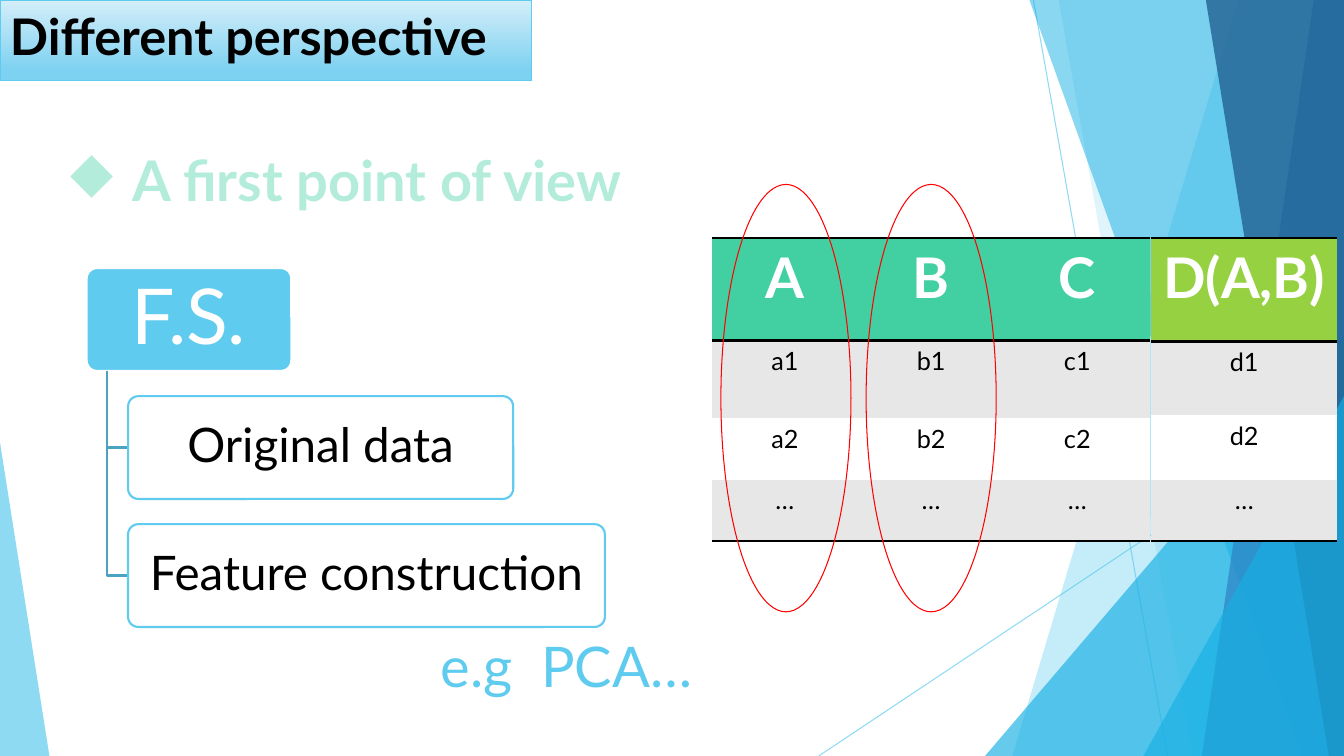
import pptx
import pptx.dml.color
import pptx.enum.shapes
import pptx.enum.text
import pptx.oxml
import pptx.oxml.ns
import pptx.util

Inches = pptx.util.Inches
Pt = pptx.util.Pt
qn = pptx.oxml.ns.qn
SHAPE = pptx.enum.shapes.MSO_SHAPE
ANCHOR = pptx.enum.text.MSO_ANCHOR
ALIGN = pptx.enum.text.PP_ALIGN

SKY, AZURE, BLUE, NAVY = "5FCBEF", "17B0E4", "2E83C3", "226292"
GREEN, LIME, MINT, GREY = "42D0A2", "96D141", "B3ECDA", "E7E7E7"
BLACK, WHITE, RED, ELBOW = "000000", "FFFFFF", "FF0000", "4CA3BF"
NO_GRID = "{2D5ABB26-0587-4C30-8999-92F81FD0307C}"


def paint(fill, color, opacity=100):
    """Make a fill solid in a hex colour with an opacity in percent."""
    fill.solid()
    fill.fore_color.rgb = pptx.dml.color.RGBColor.from_string(color)
    if opacity < 100:
        tone = fill._xPr.find(qn("a:solidFill"))[0]
        tone.append(tone.makeelement(qn("a:alpha"), {"val": str(opacity * 1000)}))


def style(shape, fill=None, opacity=100, line=None, width=1):
    """Set the fill and outline of a shape and take away its shadow."""
    shape.shadow.inherit = False
    if fill:
        paint(shape.fill, fill, opacity)
    else:
        shape.fill.background()
    if line:
        paint(shape.line.fill, line)
        shape.line.width = Pt(width)
    else:
        shape.line.fill.background()


def write(frame, text, size, color=BLACK, bold=False, align=ALIGN.CENTER,
          anchor=ANCHOR.TOP, spacing=None):
    """Put one formatted paragraph in a text frame and return it."""
    frame.word_wrap = True
    frame.vertical_anchor = anchor
    paragraph = frame.paragraphs[0]
    paragraph.alignment = align
    paragraph.line_spacing = spacing
    run = paragraph.add_run()
    run.text = text
    run.font.name = "Lato"
    run.font.size = Pt(size)
    run.font.bold = bold
    paint(run.font.fill, color)
    return paragraph


def add_block(slide, kind, box, **look):
    """Add a preset shape at left, top, width, height in inches."""
    block = slide.shapes.add_shape(kind, *map(Inches, box))
    style(block, **look)
    return block


def add_outline(slide, points, close=True, **look):
    """Add a freeform through points given in inches."""
    corners = [(Inches(x), Inches(y)) for x, y in points]
    builder = slide.shapes.build_freeform(*corners[0])
    builder.add_line_segments(corners[1:], close=close)
    style(builder.convert_to_shape(), **look)


def add_ray(slide, start, end):
    """Add a thin translucent line of the backdrop."""
    ray = slide.shapes.add_connector(
        pptx.enum.shapes.MSO_CONNECTOR.STRAIGHT, *map(Inches, start + end))
    paint(ray.line.fill, SKY, 70)
    ray.line.width = Pt(0.75)
    ray._element.spPr.append(pptx.oxml.parse_xml(
        f"<a:effectLst {pptx.oxml.ns.nsdecls('a')}/>"))


def add_label(slide, box, text, size, **look):
    """Add a text box and return its paragraph."""
    label = slide.shapes.add_textbox(*map(Inches, box))
    return write(label.text_frame, text, size, **look)


def add_facet(slide, box, tip, color, opacity):
    """Add a triangle of the backdrop with its tip at 0 (left) to 1 (right)."""
    facet = add_block(slide, SHAPE.ISOSCELES_TRIANGLE, box, fill=color, opacity=opacity)
    facet.adjustments[0] = tip


def add_backdrop(slide):
    """Draw the overlapping blue facets at both sides."""
    add_ray(slide, (10.25, 0), (11.58, 7.5))
    add_ray(slide, (13.33, 4.03), (8.12, 7.5))

    def add_band(top, bottom, color, opacity):
        """Add a band from a slanted left edge to the right of the slide."""
        add_outline(slide, [(top, 0), (13.33, 0), (13.33, 7.5), (bottom, 7.5)],
                    fill=color, opacity=opacity)

    add_band(12.28, 10.04, SKY, 36)
    add_band(10.5, 11.83, SKY, 20)
    add_facet(slide, (9.77, 3.33, 3.56, 4.17), 1, AZURE, 66)
    add_band(10.21, 12.91, AZURE, 50)
    add_band(13.03, 11.92, BLUE, 70)
    add_band(11.96, 13.18, NAVY, 80)
    add_facet(slide, (11.34, 3.93, 1.99, 3.57), 1, AZURE, 66)
    add_facet(slide, (0, 4.39, 0.49, 3.11), 0, SKY, 70)


def add_title(slide):
    """Draw the title on its gradient bar."""
    bar = add_block(slide, SHAPE.RECTANGLE, (0, 0, 5.27, 0.8), line=SKY)
    bar.fill.gradient()
    bar.fill.gradient_angle = 270
    for stop, color, position in zip(bar.fill.gradient_stops, ("D4EEF9", "7DD1F1"), (0, 0.88)):
        stop.color.rgb = pptx.dml.color.RGBColor.from_string(color)
        stop.position = position
    write(bar.text_frame, "Different perspective", 36, bold=True, align=ALIGN.LEFT)


def add_node(slide, box, text, size, color, **look):
    """Add a rounded box of the hierarchy."""
    node = add_block(slide, SHAPE.ROUNDED_RECTANGLE, box, width=1.5, **look)
    node.adjustments[0] = 0.1
    write(node.text_frame, text, size, color=color, anchor=ANCHOR.MIDDLE, spacing=0.9)


def add_hierarchy(slide):
    """Draw the root box with its two branches."""
    add_node(slide, (0.86, 2.66, 2.03, 1.02), "F.S.", 55, WHITE, fill=SKY, line=WHITE)
    for step, (text, width) in enumerate([("Original data", 3.82), ("Feature construction", 4.73)]):
        top = 3.93 + 1.27 * step
        middle = top + 0.51
        add_outline(slide, [(1.06, 3.68), (1.06, middle), (1.27, middle)],
                    close=False, line=ELBOW, width=1.5)
        add_node(slide, (1.27, top, width, 1.02), text, 34, BLACK,
                 fill=WHITE, opacity=90, line=SKY)


def add_rule(cell, side):
    """Add a black border on one side of a cell."""
    cell._tc.get_or_add_tcPr().append(pptx.oxml.parse_xml(
        f"<a:{side} {pptx.oxml.ns.nsdecls('a')} w='25400'><a:solidFill>"
        f"<a:srgbClr val='{BLACK}'/></a:solidFill></a:{side}>"))


def add_data(slide, left, column_width, heights, rows, head_fill):
    """Add a table with a coloured head and banded rows."""
    columns = len(rows[0])
    table = slide.shapes.add_table(
        len(rows), columns, Inches(left), Inches(2.36),
        Inches(column_width * columns), Inches(sum(heights))).table
    table._tbl.tblPr.find(qn("a:tableStyleId")).text = NO_GRID
    for column in table.columns:
        column.width = Inches(column_width)
    for r, (height, texts) in enumerate(zip(heights, rows)):
        table.rows[r].height = Inches(height)
        head = r == 0
        for c, text in enumerate(texts):
            cell = table.cell(r, c)
            if head:
                add_rule(cell, "lnT")
            if head or r == len(rows) - 1:
                add_rule(cell, "lnB")
            paint(cell.fill, head_fill if head else (WHITE, GREY)[r % 2])
            write(cell.text_frame, text, 40 if head else 18,
                  color=WHITE if head else BLACK, bold=head)


def main():
    """Build the slide and save it."""
    deck = pptx.Presentation()
    deck.slide_width, deck.slide_height = Inches(13.33), Inches(7.5)
    slide = deck.slides.add_slide(deck.slide_layouts[6])
    add_backdrop(slide)
    add_title(slide)
    add_hierarchy(slide)
    heading = add_label(slide, (0.41, 1.39, 6.04, 0.77), "A first point of view", 40,
                        color=MINT, bold=True)
    indent = heading._p.get_or_add_pPr()
    indent.set("marL", str(Inches(0.62)))
    indent.set("indent", str(Inches(-0.62)))
    indent.append(indent.makeelement(qn("a:buChar"), {"char": "◆"}))
    add_data(slide, 7.06, 1.45, (1.02, 0.77, 0.61, 0.61),
             ["ABC", ("a1", "b1", "c1"), ("a2", "b2", "c2"), "…" * 3], GREEN)
    add_data(slide, 11.42, 1.84, (1.03, 0.73, 0.64, 0.61),
             [["D(A,B)"], ["d1"], ["d2"], ["…"]], LIME)
    for left in (7.15, 8.59):
        add_block(slide, SHAPE.OVAL, (left, 1.83, 1.29, 4.24), line=RED, width=0.75)
    add_label(slide, (3.8, 6.22, 3.64, 0.77), "e.g  PCA…", 40, color=SKY)
    deck.save("out.pptx")


main()
